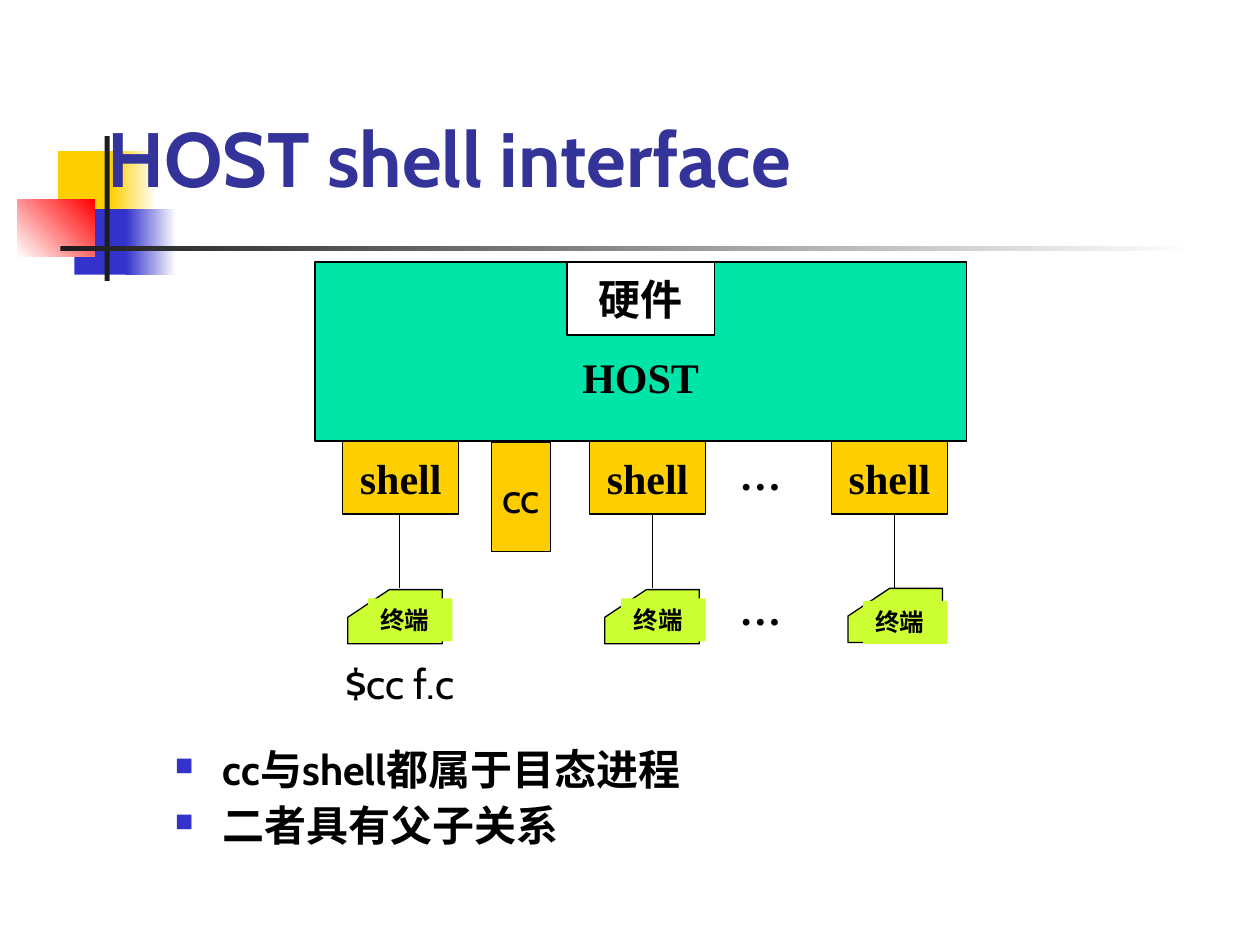
from dataclasses import dataclass
from typing import Optional

from lxml import etree
from pptx import Presentation
from pptx.dml.color import RGBColor
from pptx.enum.shapes import MSO_CONNECTOR, MSO_SHAPE
from pptx.enum.text import MSO_ANCHOR, PP_ALIGN
from pptx.oxml.ns import qn
from pptx.util import Inches, Pt

RECT = MSO_SHAPE.RECTANGLE
STRAIGHT = MSO_CONNECTOR.STRAIGHT
TOP, MIDDLE, BOTTOM = MSO_ANCHOR.TOP, MSO_ANCHOR.MIDDLE, MSO_ANCHOR.BOTTOM
LEFT, CENTER = PP_ALIGN.LEFT, PP_ALIGN.CENTER
SERIF, SANS = "Times New Roman", "Cabin"
BLACK, WHITE, DARK = "000000", "FFFFFF", "1C1C1C"
GOLD, BLUE, RED = "FFCF01", "3333CC", "FF0000"
GREEN, LIME, NAVY = "00E4A8", "CCFF33", "333399"
LINE_WIDTH = Pt(0.74)
SYSTEM = "HOST"


@dataclass
class Box:
    """A rectangle; end_fill turns its fill into a gradient."""
    left: float
    top: float
    width: float
    height: float
    fill: str
    end_fill: Optional[str] = None
    angle: float = 0


@dataclass
class Terminal:
    """One shell with the wire and the terminal card below it."""
    shell_left: float
    wire_x: float
    card_left: float
    card_top: float
    label_left: float
    label_top: float


DECORATION = [
    Box(0.46, 1.2, 0.48, 0.52, GOLD),
    Box(0.88, 1.2, 0.36, 0.52, GOLD, WHITE),
    Box(0.59, 1.66, 0.46, 0.52, BLUE),
    Box(1, 1.66, 0.4, 0.52, BLUE, WHITE),
    Box(0.14, 1.58, 0.61, 0.46, WHITE, RED, 45),
    Box(0.83, 1.08, 0.04, 1.15, DARK),
    Box(0.48, 1.95, 9, 0.04, DARK, WHITE),
]
TERMINALS = [
    Terminal(2.72, 3.17, 2.76, 4.68, 2.92, 4.75),
    Terminal(4.68, 5.18, 4.8, 4.68, 4.93, 4.75),
    Terminal(6.6, 7.1, 6.73, 4.67, 6.85, 4.77),
]
ELLIPSES = [Box(5.77, 3.51, 0.6, 0.5, WHITE), Box(5.77, 4.58, 0.58, 0.5, WHITE)]
BULLETS = ["cc与shell都属于目态进程", "二者具有父子关系"]


def color(value: str) -> RGBColor:
    """Turn a hex string into a colour."""
    return RGBColor.from_string(value)


def add_run(paragraph, text: str, size: float, font: str = SERIF,
            bold: bool = True, ink: str = BLACK) -> None:
    """Add one formatted run to a paragraph."""
    run = paragraph.add_run()
    run.text = text
    run.font.size, run.font.name, run.font.bold = Pt(size), font, bold
    run.font.color.rgb = color(ink)


def outline(shape) -> None:
    """Give a shape the thin black line."""
    shape.line.color.rgb = color(BLACK)
    shape.line.width = LINE_WIDTH


def add_box(shapes, box: Box, outlined: bool = False):
    """Draw a rectangle with a solid or gradient fill."""
    shape = shapes.add_shape(RECT, Inches(box.left), Inches(box.top),
                             Inches(box.width), Inches(box.height))
    shape.shadow.inherit = False
    if box.end_fill:
        shape.fill.gradient()
        shape.fill.gradient_angle = box.angle
        for stop, position, value in zip(shape.fill.gradient_stops, (0, 1),
                                         (box.fill, box.end_fill)):
            stop.position, stop.color.rgb = position, color(value)
    else:
        shape.fill.solid()
        shape.fill.fore_color.rgb = color(box.fill)
    if outlined:
        outline(shape)
    else:
        shape.line.fill.background()
    return shape


def add_block(shapes, box: Box, text: str, font: str = SERIF,
              bold: bool = True, inset_top: float = 0.05) -> None:
    """Draw an outlined block with centred text."""
    frame = add_box(shapes, box, outlined=True).text_frame
    frame.word_wrap, frame.vertical_anchor = False, MIDDLE
    frame.margin_top = Inches(inset_top)
    frame.paragraphs[0].alignment = CENTER
    add_run(frame.paragraphs[0], text, 24, font, bold)


def add_label(shapes, box: Box, text: str, size: float) -> None:
    """Draw a borderless filled label with text at the top left."""
    frame = add_box(shapes, box).text_frame
    frame.word_wrap, frame.vertical_anchor = True, TOP
    frame.paragraphs[0].alignment = LEFT
    add_run(frame.paragraphs[0], text, size)


def add_text(shapes, left: float, top: float, width: float, height: float):
    """Add a wrapping text box and return its frame."""
    frame = shapes.add_textbox(Inches(left), Inches(top),
                               Inches(width), Inches(height)).text_frame
    frame.word_wrap = True
    return frame


def add_terminal(shapes, terminal: Terminal) -> None:
    """Draw a terminal card with a cut corner, its wire and its label."""
    left, top = terminal.card_left, terminal.card_top
    right, bottom = left + 0.75, top + 0.43
    corners = [(right, top), (right, bottom), (left, bottom), (left, top + 0.22)]
    builder = shapes.build_freeform(Inches(left + 0.33), Inches(top))
    builder.add_line_segments([(Inches(x), Inches(y)) for x, y in corners])
    card = builder.convert_to_shape()
    card.shadow.inherit = False
    card.fill.solid()
    card.fill.fore_color.rgb = color(LIME)
    outline(card)
    x = Inches(terminal.wire_x)
    wire = shapes.add_connector(STRAIGHT, x, Inches(4.08), x, Inches(4.67))
    outline(wire)
    etree.SubElement(wire._element.spPr, qn("a:effectLst"))
    add_label(shapes, Box(terminal.label_left, terminal.label_top, 0.67, 0.34, LIME),
              "终端", 14)


def add_bullet(paragraph, text: str) -> None:
    """Format a paragraph as a square bullet with text."""
    paragraph.line_spacing, paragraph.space_before = 0.9, Pt(6)
    properties = paragraph._p.get_or_add_pPr()
    properties.set("marL", str(Inches(0.38)))
    properties.set("indent", str(-Inches(0.38)))
    bullet_color = etree.SubElement(properties, qn("a:buClr"))
    etree.SubElement(bullet_color, qn("a:srgbClr"), val=BLUE)
    etree.SubElement(properties, qn("a:buSzPct"), val="60000")
    etree.SubElement(properties, qn("a:buChar"), char="■")
    add_run(paragraph, text, 24, SANS)


def add_title(shapes, text: str) -> None:
    """Place the title in front of the decoration."""
    title = shapes.title
    title.left, title.top = Inches(0.75), Inches(0.58)
    title.width, title.height = Inches(8.5), Inches(1.08)
    title.text_frame.vertical_anchor = BOTTOM
    title.text_frame.paragraphs[0].alignment = LEFT
    add_run(title.text_frame.paragraphs[0], text, 44, SANS, ink=NAVY)
    shapes._spTree.append(title._element)


def main() -> None:
    """Build the slide and save it."""
    deck = Presentation()
    deck.slide_width, deck.slide_height = Inches(10), Inches(7.5)
    shapes = deck.slides.add_slide(deck.slide_layouts[5]).shapes
    for box in DECORATION:
        add_box(shapes, box)
    add_title(shapes, f"{SYSTEM} shell interface")

    add_block(shapes, Box(2.5, 2.08, 5.17, 1.42, GREEN), SYSTEM, inset_top=0.45)
    add_block(shapes, Box(4.5, 2.08, 1.17, 0.58, WHITE), "硬件")
    for terminal in TERMINALS:
        add_block(shapes, Box(terminal.shell_left, 3.5, 0.92, 0.58, GOLD), "shell")
        add_terminal(shapes, terminal)
    for box in ELLIPSES:
        add_label(shapes, box, "…", 24)
    add_block(shapes, Box(3.9, 3.51, 0.47, 0.87, "FFCC00"), "cc", SANS, False)

    command = add_text(shapes, 2.64, 5.17, 1.26, 0.5)
    add_run(command.paragraphs[0], "$cc f.c", 24, SANS, False)
    remarks = add_text(shapes, 1.29, 5.9, 8.5, 1.08)
    for index, text in enumerate(BULLETS):
        add_bullet(remarks.add_paragraph() if index else remarks.paragraphs[0], text)
    deck.save("out.pptx")


main()
